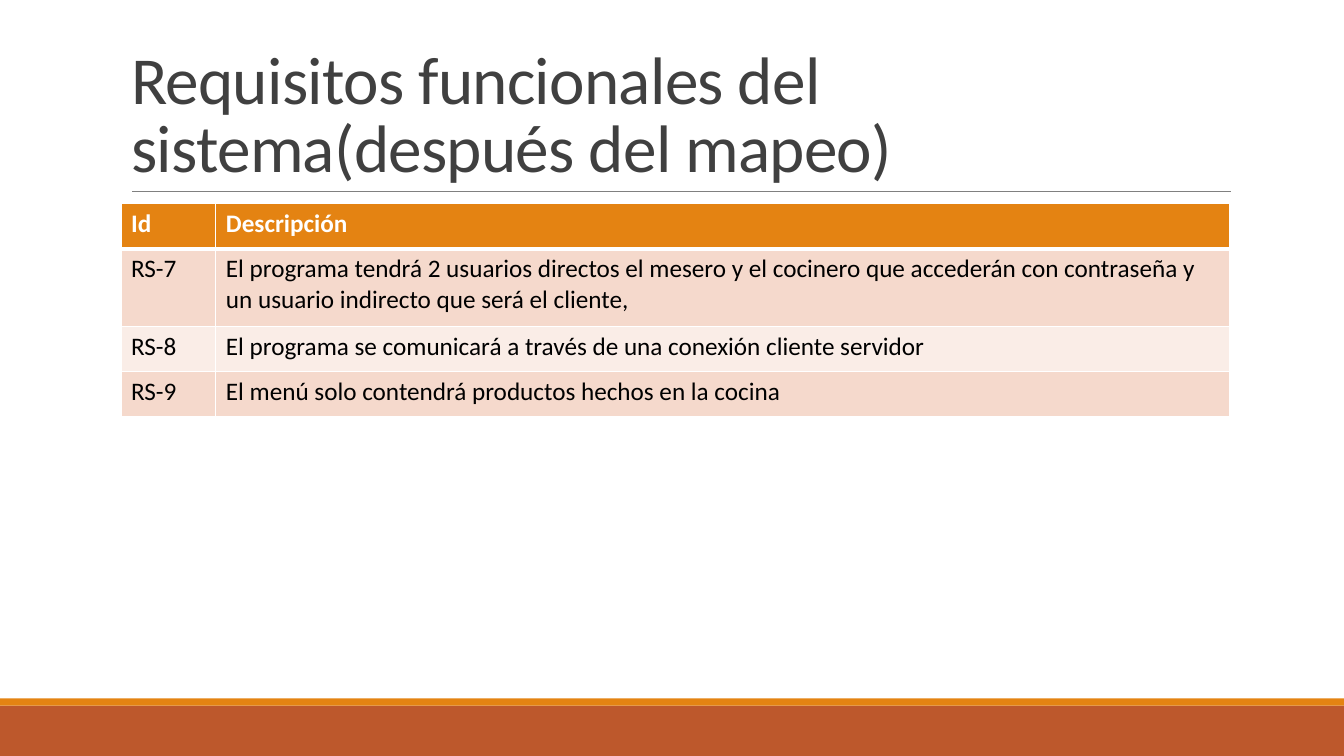
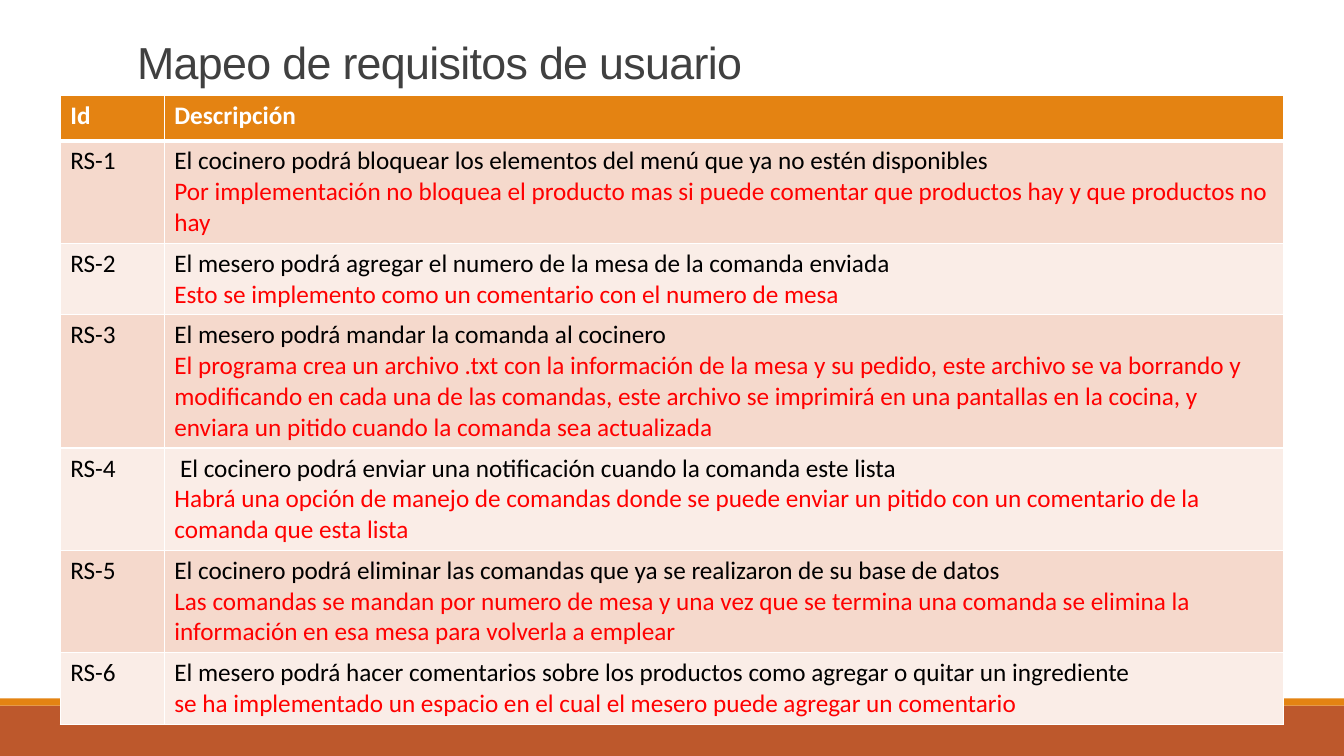
from lxml import etree
from pptx import Presentation
from pptx.dml.color import RGBColor
from pptx.enum.shapes import MSO_CONNECTOR as Connector, MSO_SHAPE as Preset
from pptx.enum.text import MSO_ANCHOR as Anchor, MSO_AUTO_SIZE as AutoSize, PP_ALIGN as Align
from pptx.oxml.ns import qn
from pptx.util import Cm, Pt

COLORS = {
    "rust": "BD582C",
    "orange": "E48312",
    "rule": "808080",
    "title": "404040",
    "text": "000000",
    "note": "FF0000",
    "white": "FFFFFF",
    "odd": "F5D9CC",
    "even": "FAEDE7",
}
SLIDE_WIDTH, SLIDE_HEIGHT = 33.87, 19.05
BAND_HEIGHT, STRIPE_HEIGHT = 1.27, 0.18
HEADINGS = ("Id", ["Descripción"])
HEADING_HEIGHT = 1.14

SLIDES = [
    {
        "title": "Requisitos funcionales del sistema(después del mapeo)",
        "title_box": (3.05, 0.79, 27.94, 4.04),
        "title_font": {"name": "Calibri", "size": Pt(48)},
        "table_box": (3.05, 5.13, 27.94),
        "id_width": 2.39,
        "rows": [
            (1.96, "RS-7", ["El programa tendrá 2 usuarios directos el mesero y el cocinero que accederán con contraseña y un usuario indirecto que será el cliente,"]),
            (1.14, "RS-8", ["El programa se comunicará a través de una conexión cliente servidor"]),
            (1.14, "RS-9", ["El menú solo contendrá productos hechos en la cocina"]),
        ],
    },
    {
        "title": "Mapeo de requisitos de usuario",
        "title_box": (3.2, 0.48, 27.94, 1.88),
        "title_font": {"name": "Arial", "size": Pt(32)},
        "table_box": (1.52, 2.41, 30.82),
        "id_width": 2.62,
        "rows": [
            (2.57, "RS-1", [
                "El cocinero podrá bloquear los elementos del menú que ya no estén disponibles",
                "Por implementación no bloquea el producto mas si puede comentar que productos hay y que productos no hay",
            ]),
            (1.8, "RS-2", [
                "El mesero podrá agregar el numero de la mesa de la comanda enviada",
                "Esto se implemento como un comentario con el numero de mesa",
            ]),
            (3.33, "RS-3", [
                "El mesero podrá mandar la comanda al cocinero",
                "El programa crea un archivo .txt con la información de la mesa y su pedido, este archivo se va borrando y modificando en cada una de las comandas, este archivo se imprimirá en una pantallas en la cocina, y enviara un pitido cuando la comanda sea actualizada",
            ]),
            (2.57, "RS-4", [
                " El cocinero podrá enviar una notificación cuando la comanda este lista",
                "Habrá una opción de manejo de comandas donde se puede enviar un pitido con un comentario de la comanda que esta lista",
            ]),
            (2.57, "RS-5", [
                "El cocinero podrá eliminar las comandas que ya se realizaron de su base de datos",
                "Las comandas se mandan por numero de mesa y una vez que se termina una comanda se elimina la información en esa mesa para volverla a emplear",
            ]),
            (1.78, "RS-6", [
                "El mesero podrá hacer comentarios sobre los productos como agregar o quitar un ingrediente",
                "se ha implementado un espacio en el cual el mesero puede agregar un comentario",
            ]),
        ],
    },
]


def rgb(name):
    return RGBColor.from_string(COLORS[name])


def apply(target, values):
    for name, value in values.items():
        setattr(target, name, value)


def set_fill(target, color):
    target.fill.solid()
    target.fill.fore_color.rgb = rgb(color)


def add_band(slide, top, height, color):
    shape = slide.shapes.add_shape(Preset.RECTANGLE, 0, Cm(top), Cm(SLIDE_WIDTH), Cm(height))
    shape.shadow.inherit = False
    set_fill(shape, color)
    shape.line.fill.background()
    return shape


def add_rule(slide, left, top, width):
    rule = slide.shapes.add_connector(Connector.STRAIGHT, Cm(left), Cm(top), Cm(left + width), Cm(top))
    rule.line.color.rgb = rgb("rule")
    rule.line.width = Pt(0.5)
    etree.SubElement(rule.element.spPr, qn("a:effectLst"))
    return rule


def move_to_layout(slide, shapes):
    tree = slide.slide_layout.shapes.element
    for number, shape in enumerate(shapes, 101):
        shape.element.xpath(".//p:cNvPr")[0].set("id", str(number))
        tree.append(shape.element)


def decorate_layout(slide):
    band_top = SLIDE_HEIGHT - BAND_HEIGHT
    move_to_layout(slide, [
        add_band(slide, band_top, BAND_HEIGHT, "rust"),
        add_band(slide, band_top - STRIPE_HEIGHT, STRIPE_HEIGHT, "orange"),
        add_rule(slide, 3.33, 4.83, 27.69),
    ])


def fill_title(slide, text, box, font):
    title = slide.shapes.title
    apply(title, dict(zip(("left", "top", "width", "height"), map(Cm, box))))
    frame = title.text_frame
    apply(frame, {"text": text, "word_wrap": True, "auto_size": AutoSize.NONE,
                  "vertical_anchor": Anchor.BOTTOM})
    paragraph = frame.paragraphs[0]
    apply(paragraph, {"alignment": Align.LEFT, "line_spacing": 0.85})
    run = paragraph.runs[0]
    apply(run.font, font)
    run.font.color.rgb = rgb("title")
    run.font.element.set("spc", "-50") if hasattr(run.font, "element") else run._r.get_or_add_rPr().set("spc", "-50")


def set_borders(cell, row_index):
    thick_side = {0: "lnB", 1: "lnT"}.get(row_index)
    properties = cell._tc.get_or_add_tcPr()
    for side in ("lnL", "lnR", "lnT", "lnB"):
        width = Pt(3 if side == thick_side else 1)
        line = etree.SubElement(properties, qn(f"a:{side}"), w=str(width))
        solid = etree.SubElement(line, qn("a:solidFill"))
        etree.SubElement(solid, qn("a:srgbClr"), val=COLORS["white"])


def fill_cell(cell, texts, row_index):
    is_heading = row_index == 0
    set_borders(cell, row_index)
    set_fill(cell, "orange" if is_heading else "odd" if row_index % 2 else "even")
    cell.text = "\n".join(texts)
    for index, paragraph in enumerate(cell.text_frame.paragraphs):
        font = paragraph.runs[0].font
        apply(font, {"name": "Calibri", "size": Pt(18), "bold": is_heading})
        font.color.rgb = rgb("white" if is_heading else "note" if index else "text")


def add_requirements(slide, box, id_width, rows):
    left, top, width = box
    rows = [(HEADING_HEIGHT, *HEADINGS), *rows]
    height = sum(row[0] for row in rows)
    table = slide.shapes.add_table(len(rows), 2, Cm(left), Cm(top), Cm(width), Cm(height)).table
    for column, column_width in zip(table.columns, (id_width, width - id_width)):
        column.width = Cm(column_width)
    for index, (row_height, identifier, description) in enumerate(rows):
        table.rows[index].height = Cm(row_height)
        fill_cell(table.cell(index, 0), [identifier], index)
        fill_cell(table.cell(index, 1), description, index)


def main():
    presentation = Presentation()
    apply(presentation, {"slide_width": Cm(SLIDE_WIDTH), "slide_height": Cm(SLIDE_HEIGHT)})
    layout = presentation.slide_layouts[5]
    for index, content in enumerate(SLIDES):
        slide = presentation.slides.add_slide(layout)
        if index == 0:
            decorate_layout(slide)
        fill_title(slide, content["title"], content["title_box"], content["title_font"])
        add_requirements(slide, content["table_box"], content["id_width"], content["rows"])
    presentation.save("out.pptx")


if __name__ == "__main__":
    main()
